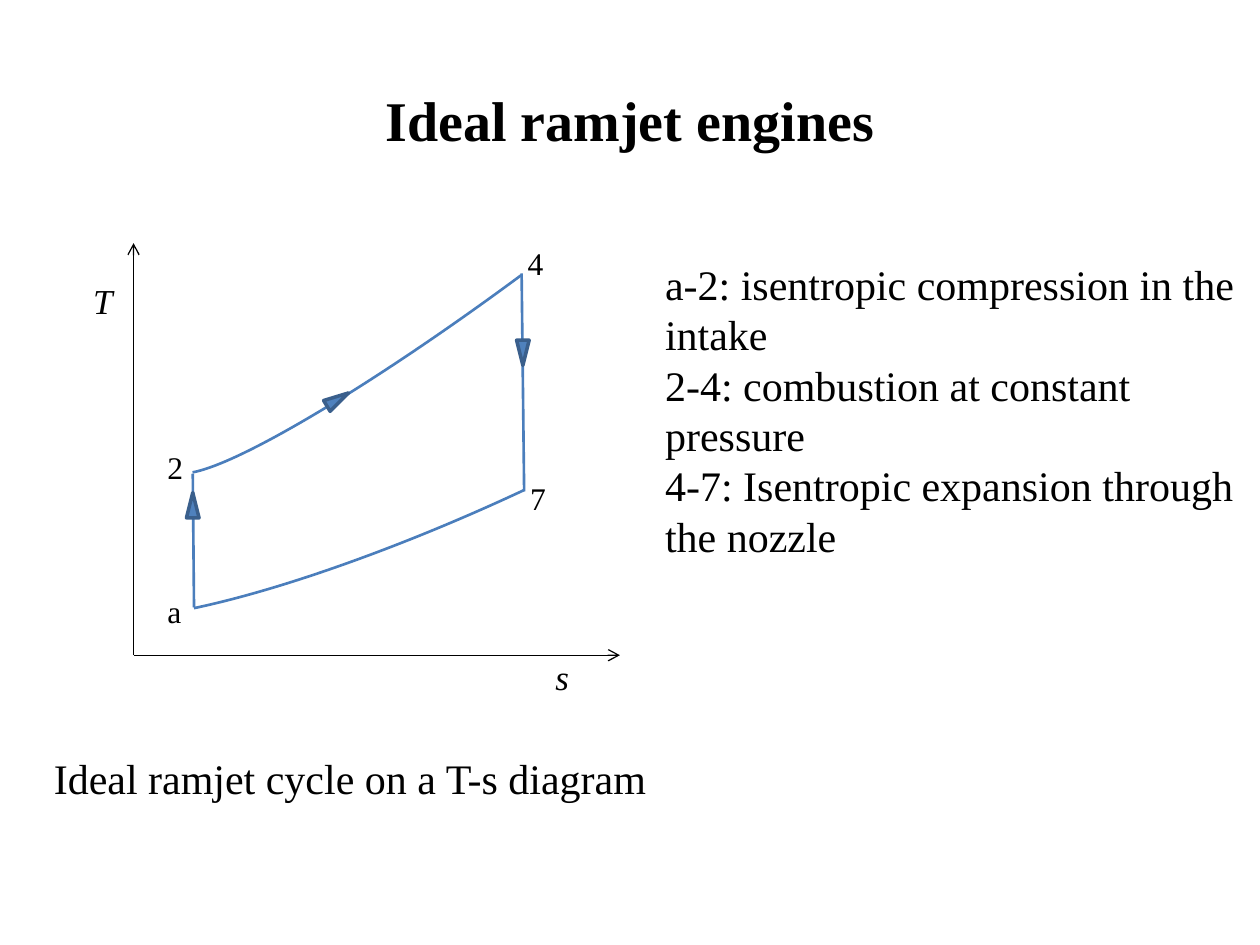
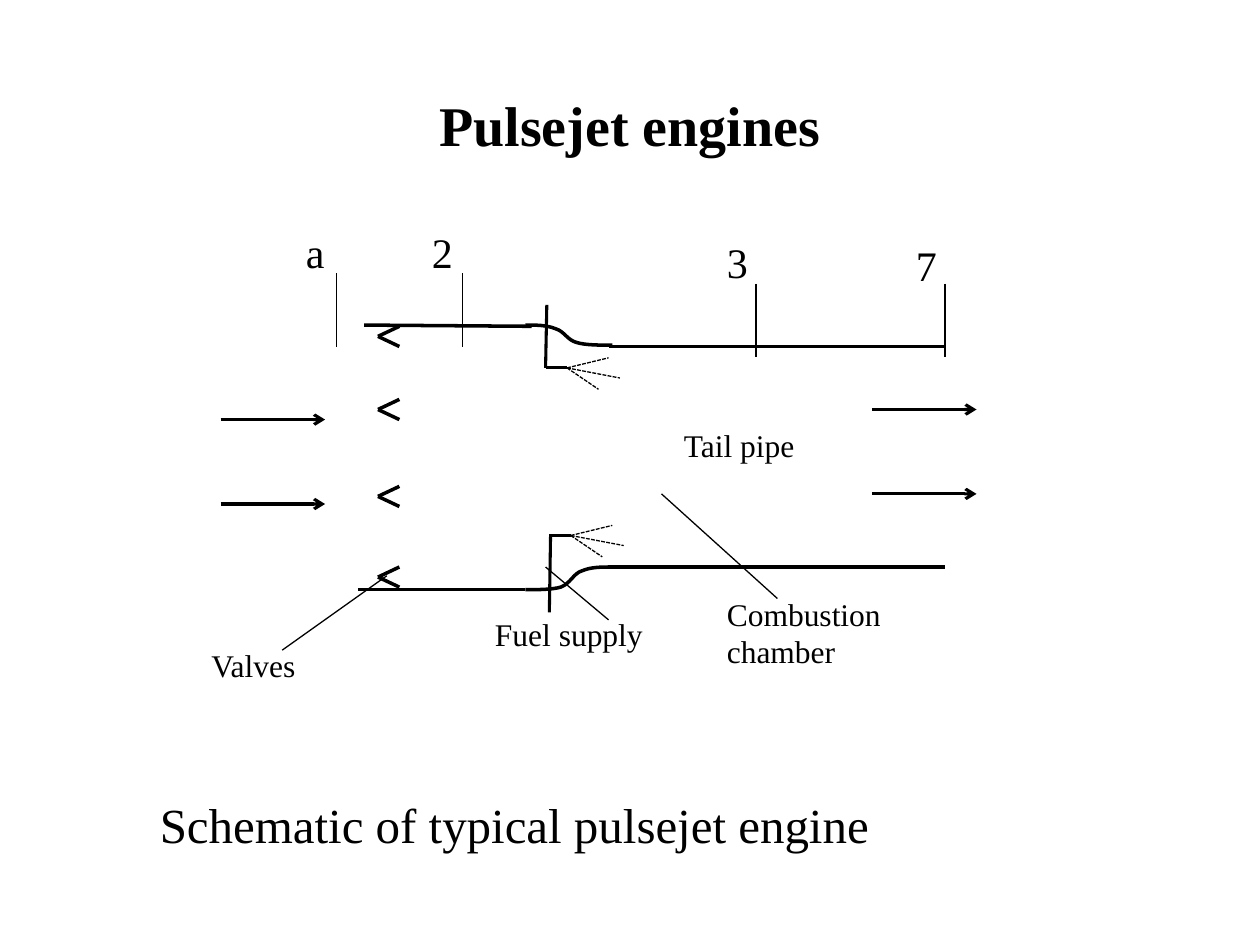
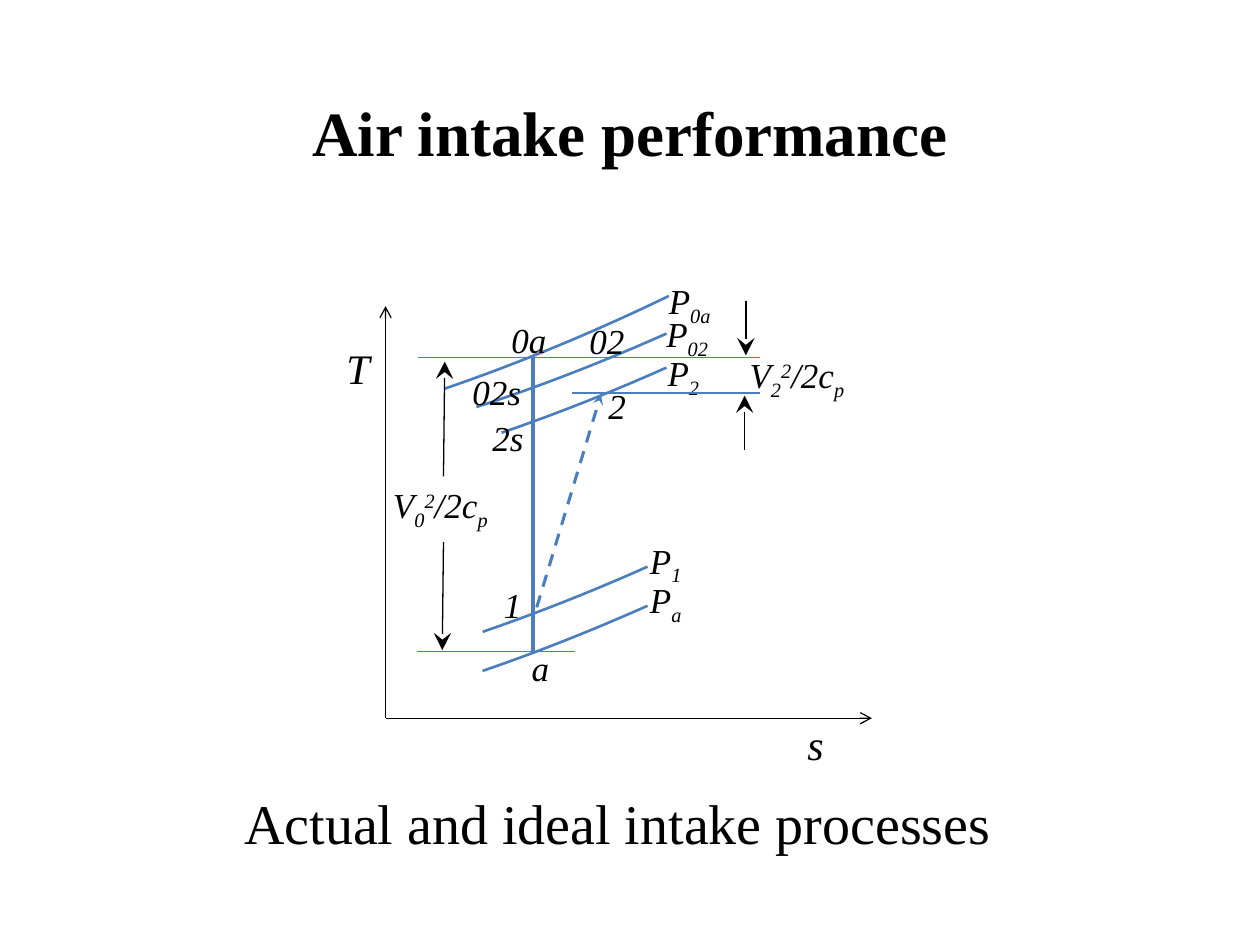
from lxml.etree import SubElement
from pptx import Presentation
from pptx.dml.color import RGBColor
from pptx.enum.dml import MSO_LINE
from pptx.enum.shapes import MSO_CONNECTOR, MSO_SHAPE
from pptx.enum.text import MSO_ANCHOR, MSO_AUTO_SIZE, PP_ALIGN
from pptx.oxml.ns import qn
from pptx.util import Inches, Pt

FONT = "Times New Roman"
BLACK = "000000"
BLUE = "4B7EBC"
ARROW_FILL = "4F81BD"
ARROW_EDGE = "3A5F8C"


def color(value):
    return RGBColor.from_string(value)


def write_text(frame, text, size=18, bold=False, italic=False, align=PP_ALIGN.LEFT):
    """Text is a string or a list of paragraphs; a paragraph is a string
    or a list of (text, baseline percent) runs."""
    paragraphs = [text] if isinstance(text, str) else text
    for index, content in enumerate(paragraphs):
        paragraph = frame.add_paragraph() if index else frame.paragraphs[0]
        paragraph.alignment = align
        runs = [(content, 0)] if isinstance(content, str) else content
        for words, baseline in runs:
            run = paragraph.add_run()
            run.text = words
            font = run.font
            font.name, font.size = FONT, Pt(size)
            font.bold, font.italic = bold, italic
            font.color.rgb = color(BLACK)
            if baseline:
                run._r.get_or_add_rPr().set("baseline", str(baseline * 1000))


class Deck:
    def __init__(self):
        self.presentation = Presentation()
        self.presentation.slide_width = Inches(10)
        self.presentation.slide_height = Inches(7.5)
        self.slide = None

    def new_slide(self, title, top, size=32):
        layout = self.presentation.slide_layouts[5]
        self.slide = self.presentation.slides.add_slide(layout)
        shape = self.slide.shapes.title
        shape.left, shape.top = Inches(0.5), Inches(top)
        shape.width, shape.height = Inches(9), Inches(0.75)
        frame = shape.text_frame
        frame.word_wrap = True
        frame.auto_size = MSO_AUTO_SIZE.NONE
        frame.vertical_anchor = MSO_ANCHOR.TOP
        write_text(frame, title, size=size, bold=True, align=PP_ALIGN.CENTER)

    def text(self, text, left, top, width, height, wrap=True, **style):
        shape = self.slide.shapes.add_textbox(
            Inches(left), Inches(top), Inches(width), Inches(height))
        frame = shape.text_frame
        frame.word_wrap = wrap
        frame.auto_size = MSO_AUTO_SIZE.SHAPE_TO_FIT_TEXT
        write_text(frame, text, **style)

    def symbol(self, text, left, top, width, size=20):
        height = 0.5 if size > 20 else 0.44
        self.text(text, left, top, width, height, wrap=False, size=size, italic=True)

    def line(self, start, end, stroke=BLACK, width=0.75, dash=None,
             arrow=None, arrow_size="med"):
        connector = self.slide.shapes.add_connector(
            MSO_CONNECTOR.STRAIGHT, *[Inches(value) for value in (*start, *end)])
        connector.line.color.rgb = color(stroke)
        connector.line.width = Pt(width)
        if dash:
            connector.line.dash_style = dash
        if arrow:
            SubElement(connector.line._get_or_add_ln(), qn("a:tailEnd"),
                       type=arrow, w=arrow_size, len=arrow_size)
        SubElement(connector._element.spPr, qn("a:effectLst"))

    def outline(self, shape, stroke, width, fill=None):
        shape.shadow.inherit = False
        shape.line.color.rgb = color(stroke)
        shape.line.width = Pt(width)
        if fill:
            shape.fill.solid()
            shape.fill.fore_color.rgb = color(fill)
        else:
            shape.fill.background()

    def arc(self, left, top, start, end, width=6.24, height=1.17, rotation=156.5):
        """Start and end are adjustment values: 0.6 of the angle in degrees."""
        shape = self.slide.shapes.add_shape(
            MSO_SHAPE.ARC, Inches(left), Inches(top), Inches(width), Inches(height))
        shape.rotation = rotation
        shape.adjustments[0] = start
        shape.adjustments[1] = end
        self.outline(shape, BLUE, 1.5)

    def flow_arrow(self, left, top, rotation=0):
        shape = self.slide.shapes.add_shape(
            MSO_SHAPE.FLOWCHART_MERGE, Inches(left), Inches(top), Inches(0.1), Inches(0.2))
        shape.rotation = rotation
        self.outline(shape, ARROW_EDGE, 2, ARROW_FILL)

    def curve(self, points):
        """Bezier curve: a start point, then three points per segment."""
        start, *rest = [(Inches(x), Inches(y)) for x, y in points]
        builder = self.slide.shapes.build_freeform(*start)
        builder.add_line_segments(rest, close=False)
        shape = builder.convert_to_shape()
        self.outline(shape, BLACK, 2)
        contour = next(shape._element.iter(qn("a:path")))
        steps = contour.findall(qn("a:lnTo"))
        for index, step in enumerate(steps):
            if index % 3 == 0:
                segment = SubElement(contour, qn("a:cubicBezTo"))
            segment.append(step[0])
            contour.remove(step)

    def axes(self, left, bottom, s_label, t_label, size):
        self.line((left, bottom), (left + 3.86, bottom), arrow="arrow")
        self.line((left, bottom), (left, bottom - 3.27), arrow="arrow")
        self.symbol("s", *s_label, 0.32, size=size)
        self.symbol("T", *t_label, 0.38, size=size)


def velocity_term(index):
    return [[("V", 0), (index, -25), ("2", 30), ("/2c", 0), ("p", -25)]]


deck = Deck()

# Slide 1: ideal ramjet cycle
deck.new_slide("Ideal ramjet engines", 0.63)
deck.axes(1.06, 5.2, (4.31, 5.15), (0.64, 2.17), 20)
deck.arc(0.38, 2.96, 138.68, 210.2)
deck.arc(0.78, 1.48, 162, 214.91, width=6.25, height=0.78, rotation=143.5)
deck.line((4.16, 3.9), (4.14, 2.17), BLUE, 1.5)
deck.line((1.54, 4.82), (1.53, 3.76), BLUE, 1.5)
for left, top, rotation in ((4.1, 2.7, 0), (2.63, 3.07, 239), (1.48, 3.91, 180)):
    deck.flow_arrow(left, top, rotation)
for state, left, top in (("4", 4.09, 1.89), ("2", 1.23, 3.51),
                         ("a", 1.23, 4.65), ("7", 4.11, 3.75)):
    deck.text(state, left, top, 0.43, 0.41)
deck.text("Ideal ramjet cycle on a T-s diagram", 0.33, 5.92, 6.33, 0.5, size=24)
deck.text(["a-2: isentropic compression in the intake",
           "2-4: combustion at constant pressure",
           "4-7: Isentropic expansion through the nozzle"],
          5.18, 2, 4.75, 2.52, size=24)

# Slide 2: pulsejet schematic
deck.new_slide("Pulsejet engines", 0.67)

# Engine walls
for start, end in (((2.89, 2.58), (4.22, 2.59)), ((4.83, 2.75), (7.5, 2.75)),
                   ((2.84, 4.68), (4.17, 4.68)), ((4.83, 4.5), (7.5, 4.5))):
    deck.line(start, end, width=2)
deck.curve([(4.17, 2.58), (4.25, 2.58), (4.34, 2.58), (4.41, 2.61), (4.48, 2.63),
            (4.5, 2.7), (4.58, 2.72), (4.65, 2.74), (4.76, 2.74), (4.86, 2.74)])
deck.curve([(4.86, 4.5), (4.77, 4.5), (4.69, 4.5), (4.62, 4.53), (4.55, 4.55),
            (4.53, 4.63), (4.45, 4.66), (4.38, 4.68), (4.27, 4.68), (4.17, 4.68)])

# Valves
for middle in (2.67, 3.25, 3.94, 4.58):
    for side in (-0.08, 0.08):
        deck.line((3, middle), (3.17, middle + side), width=2)

# Fuel injectors: supply pipe, nozzle and spray
for pipe_start, pipe_end, bend, y in (((4.34, 2.42), (4.33, 2.92), 4.33, 2.92),
                                      ((4.37, 4.24), (4.36, 4.86), 4.36, 4.25)):
    nozzle = bend + 0.17
    deck.line(pipe_start, pipe_end, width=1.75)
    deck.line((bend, y), (nozzle, y), width=1.75)
    for across, down in ((0.33, -0.08), (0.42, 0.08), (0.25, 0.17)):
        deck.line((nozzle, y), (nozzle + across, y + down), dash=MSO_LINE.SQUARE_DOT)

# Stations
for station, x, top, left, label_top in (
        ("a", 2.67, 2.17, 2.33, 1.75), ("2", 3.67, 2.17, 3.33, 1.75),
        ("3", 6, 2.25, 5.67, 1.83), ("7", 7.5, 2.25, 7.17, 1.85)):
    deck.line((x, top), (x, top + 0.58))
    deck.text(station, left, label_top, 0.42, 0.5, size=24)

# Inlet and exhaust flow
for x, y in ((1.75, 3.33), (1.75, 4), (6.92, 3.25), (6.92, 3.92)):
    deck.line((x, y), (x + 0.83, y), width=1.75, arrow="arrow")

# Part names and leaders
for start, end in (((3.07, 4.57), (2.24, 5.16)), ((4.33, 4.5), (4.83, 4.92)),
                   ((5.25, 3.92), (6.17, 4.75))):
    deck.line(start, end)
deck.text("Valves", 1.58, 5.08, 2.25, 0.4)
deck.text("Fuel supply", 3.83, 4.83, 2.25, 0.4)
deck.text("Combustion chamber", 5.67, 4.67, 2.25, 0.71)
deck.text("Tail pipe", 5.33, 3.33, 1.33, 0.4)
deck.text("Schematic of typical pulsejet engine", 1.17, 6.26, 8, 0.57, size=28)

# Slide 3: intake processes
deck.new_slide("Air intake performance", 0.69, size=36)
deck.axes(3.06, 5.7, (6.31, 5.65), (2.65, 2.67), 24)

# Constant pressure curves with their labels
for index, left, top, start, end, label_left, label_top in (
        ("a", 1.64, 3.75, 152.86, 202.04, 5.06, 4.54),
        ("1", 1.64, 3.44, 152.86, 202.04, 5.06, 4.23),
        ("0a", 1.34, 1.51, 132.1, 202.04, 5.21, 2.17),
        ("02", 1.79, 1.59, 152.86, 204.27, 5.19, 2.43),
        ("2", 1.79, 1.86, 152.86, 202.04, 5.2, 2.74)):
    deck.arc(left, top, start, end)
    deck.symbol([[("P", 0), (index, -25)]], label_left, label_top,
                0.38 + 0.09 * len(index))

# Ideal and actual processes, then the temperature levels
deck.line((4.23, 5.17), (4.23, 2.83), BLUE, 1.75)
deck.line((4.26, 4.82), (4.77, 3.13), BLUE, 1.75, MSO_LINE.DASH, "stealth")
for left, right, y in ((3.32, 6.03, 2.84), (4.54, 6.03, 3.12), (3.31, 4.56, 5.17)):
    deck.line((left, y), (right, y), BLUE)

# Kinetic energy spans
for start, end in (((3.52, 3.78), (3.53, 2.87)), ((3.52, 4.3), (3.51, 5.16)),
                   ((5.92, 2.39), (5.92, 2.82)), ((5.91, 3.57), (5.91, 3.14))):
    deck.line(start, end, arrow="stealth", arrow_size="lg")
deck.symbol(velocity_term("0"), 3.02, 3.79, 0.99)
deck.symbol(velocity_term("2"), 5.85, 2.76, 0.99)

# States
for state, left, top in (("a", 4.12, 5.08), ("1", 3.9, 4.58), ("2s", 3.81, 3.26),
                         ("2", 4.73, 3), ("0a", 3.96, 2.48), ("02", 4.58, 2.49),
                         ("02s", 3.65, 2.89)):
    deck.symbol(state, left, top, 0.22 + 0.13 * len(state))
deck.text("Actual and ideal intake processes", 1.84, 6.21, 7.25, 0.64, size=32)

deck.presentation.save("out.pptx")
